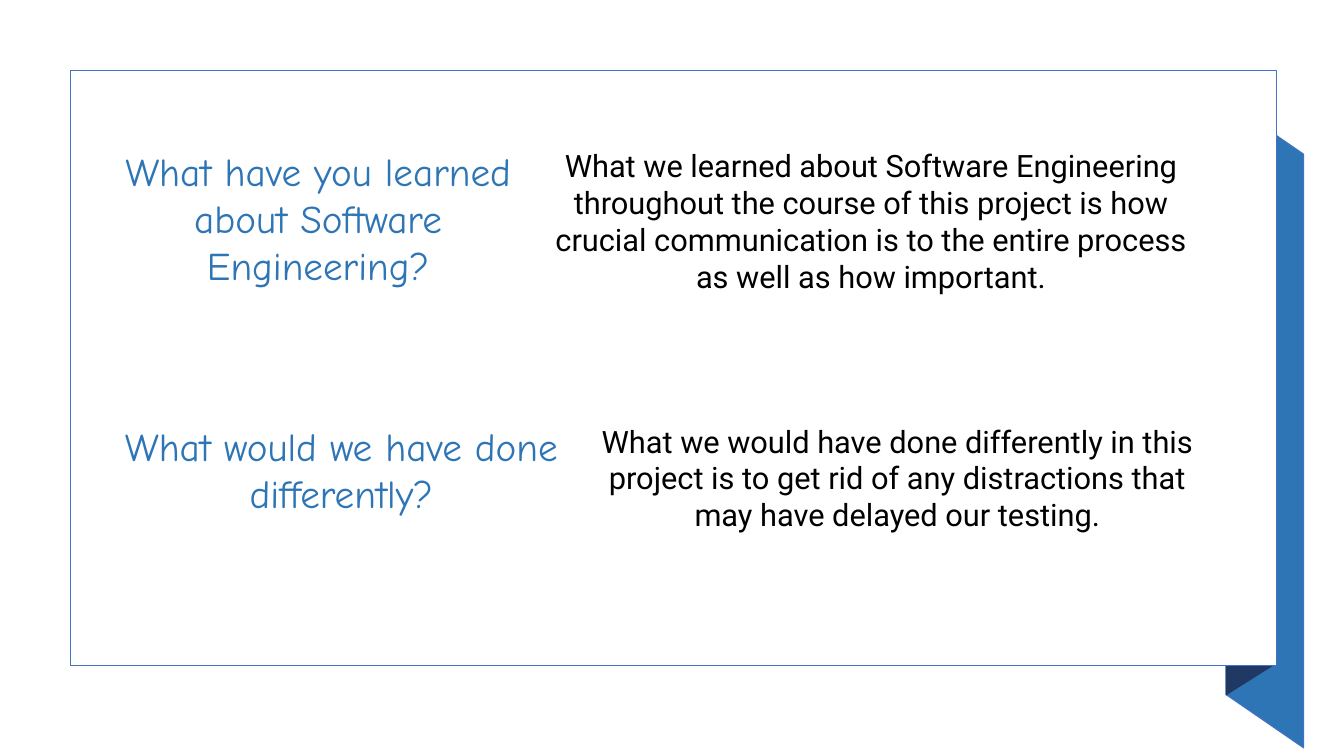
from dataclasses import dataclass

from pptx import Presentation, util as u
from pptx.dml.color import RGBColor
from pptx.enum import shapes, text

ROWS = [
    {"top": 18.8, "height": 35.73, "cells": [
        ("question", 7.95, 31.43, "What have you learned about Software Engineering?"),
        ("answer", 39.98, 49.66,
         "What we learned about Software Engineering throughout the course of this "
         "project is how crucial communication is to the entire process as well as "
         "how important."),
    ]},
    {"top": 55.2, "height": 23.33, "cells": [
        ("question", 7.95, 34.88, "What would we have done differently?"),
        ("answer", 43.36, 46.81,
         "What we would have done differently in this project is to get rid of any "
         "distractions that may have delayed our testing."),
    ]},
]
CARD = (5.25, 9.33, 89.72, 78.67)
RIBBON = [(97, 98.93), (91.22, 91.87), (91.22, 13.33), (97, 20.4)]
FOLD = [(94.67, 88.13), (91.22, 92), (91.22, 13.33), (94.67, 9.33)]


@dataclass(frozen=True)
class Theme:
    blue: str = "2E75B6"
    navy: str = "203864"
    outline: str = "4472C4"
    white: str = "FFFFFF"
    black: str = "000000"
    question_size: int = 28
    answer_size: int = 22
    space_after: int = 6


THEME = Theme()
STYLES = {
    "question": ("Comic Neue", THEME.question_size, THEME.blue),
    "answer": ("Roboto", THEME.answer_size, THEME.black),
}

prs = Presentation()
prs.slide_width, prs.slide_height = u.Inches(13.33), u.Inches(7.5)
s = prs.slides.add_slide(prs.slide_layouts[6])


def x(share):
    return round(prs.slide_width * share / 100)


def y(share):
    return round(prs.slide_height * share / 100)


def paint(sp, fill, width=0):
    sp.shadow.inherit = False
    sp.fill.solid()
    sp.fill.fore_color.rgb = RGBColor.from_string(fill)
    if width:
        sp.line.color.rgb = RGBColor.from_string(THEME.outline)
        sp.line.width = u.Pt(width)
    else:
        sp.line.fill.background()


def add_outline(points, fill, width=0):
    start, *rest = [(x(px), y(py)) for px, py in points]
    builder = s.shapes.build_freeform(*start)
    builder.add_line_segments(rest, close=True)
    paint(builder.convert_to_shape(), fill, width)


def add_text(style, left, top, width, height, words):
    font, size, color = STYLES[style]
    tf = s.shapes.add_textbox(x(left), y(top), x(width), y(height)).text_frame
    tf.word_wrap = True
    p = tf.paragraphs[0]
    p.text = words
    p.alignment = text.PP_ALIGN.CENTER
    p.space_after = u.Pt(THEME.space_after)
    r = p.runs[0]
    r.font.name, r.font.size = font, u.Pt(size)
    r.font.color.rgb = RGBColor.from_string(color)


add_outline(RIBBON, THEME.blue, 0.75)
add_outline(FOLD, THEME.navy)
left, top, width, height = CARD
card = s.shapes.add_shape(shapes.MSO_SHAPE.RECTANGLE, x(left), y(top), x(width), y(height))
paint(card, THEME.white, 1)

for row in ROWS:
    for style, left, width, words in row["cells"]:
        add_text(style, left, row["top"], width, row["height"], words)

prs.save("out.pptx")
